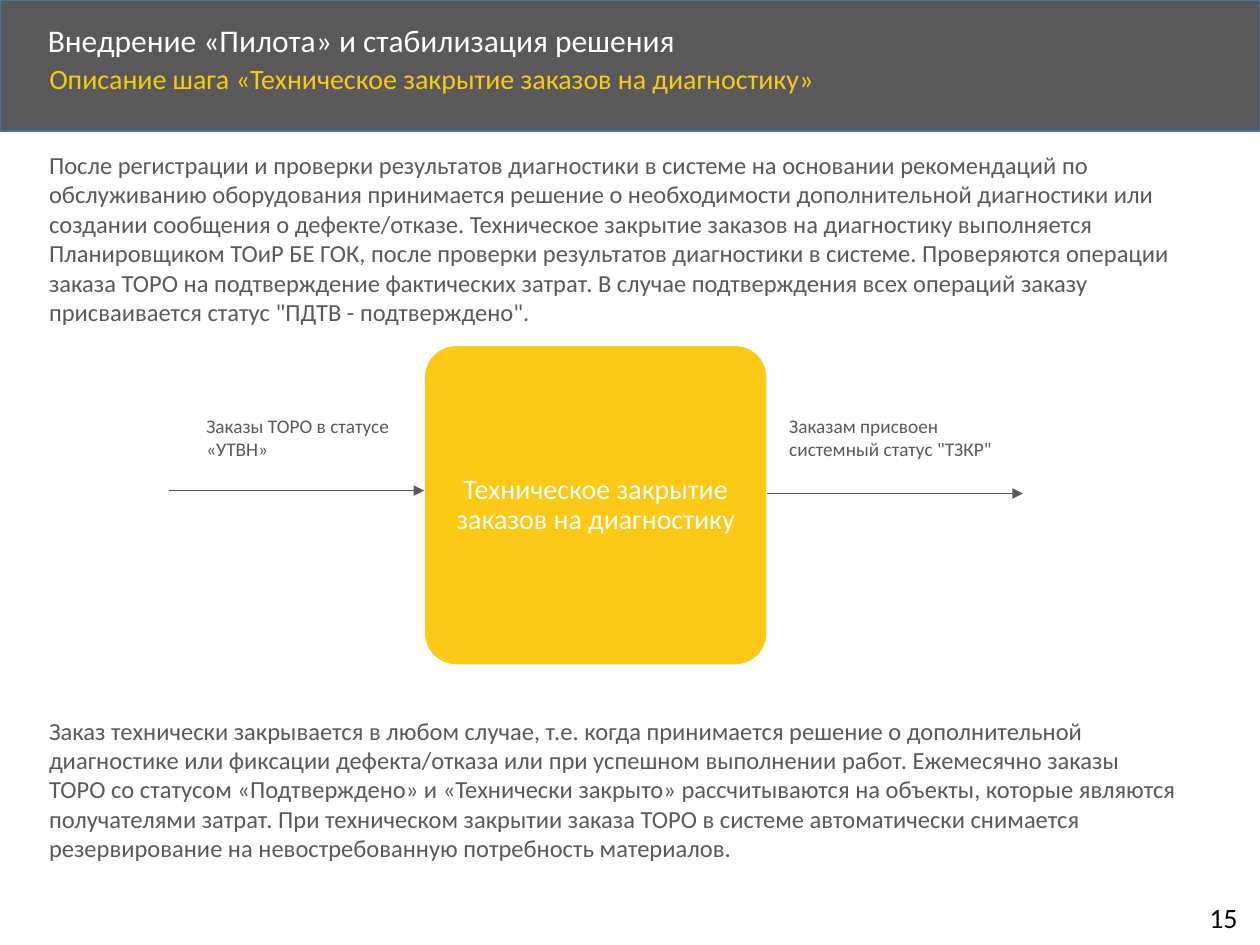
from lxml import etree
from pptx import Presentation
from pptx.dml.color import RGBColor
from pptx.enum.shapes import MSO_CONNECTOR, MSO_SHAPE
from pptx.enum.text import MSO_ANCHOR, MSO_AUTO_SIZE, PP_ALIGN
from pptx.oxml.ns import qn
from pptx.util import Cm, Pt

STRAIGHT = MSO_CONNECTOR.STRAIGHT
RECTANGLE = MSO_SHAPE.RECTANGLE
ROUNDED = MSO_SHAPE.ROUNDED_RECTANGLE
TOP, MIDDLE = MSO_ANCHOR.TOP, MSO_ANCHOR.MIDDLE
LEFT, CENTER = PP_ALIGN.LEFT, PP_ALIGN.CENTER
NO_FIT = MSO_AUTO_SIZE.NONE

GRAY = RGBColor(0x59, 0x59, 0x59)
BLUE = RGBColor(0x43, 0x73, 0x9E)
YELLOW = RGBColor(0xFC, 0xC9, 0x17)
DARK_YELLOW = RGBColor(0xF6, 0xCC, 0x0C)
WHITE = RGBColor(0xFF, 0xFF, 0xFF)
BLACK = RGBColor(0, 0, 0)

TITLE = "Внедрение «Пилота» и стабилизация решения"
SUBTITLE = [
    ("Описание шага ", DARK_YELLOW),
    ("«Техническое закрытие заказов на диагностику»", YELLOW),
]
INTRODUCTION = (
    "После регистрации и проверки результатов диагностики в системе на основании "
    "рекомендаций по обслуживанию оборудования принимается решение о необходимости "
    "дополнительной диагностики или создании сообщения о дефекте/отказе. Техническое "
    "закрытие заказов на диагностику выполняется Планировщиком ТОиР БЕ ГОК, после "
    "проверки результатов диагностики в системе. Проверяются операции заказа ТОРО на "
    "подтверждение фактических затрат. В случае подтверждения всех операций заказу "
    "присваивается статус \"ПДТВ - подтверждено\"."
)
CONCLUSION = (
    "Заказ технически закрывается в любом случае, т.е. когда принимается решение о "
    "дополнительной диагностике или фиксации дефекта/отказа или при успешном выполнении "
    "работ. Ежемесячно заказы ТОРО со статусом «Подтверждено» и «Технически закрыто» "
    "рассчитываются на объекты, которые являются получателями затрат. При техническом "
    "закрытии заказа ТОРО в системе автоматически снимается резервирование на "
    "невостребованную потребность материалов."
)
STEP = "Техническое закрытие заказов на диагностику"
INPUT = "Заказы ТОРО в статусе «УТВН»"
OUTPUT = "Заказам присвоен системный статус \"ТЗКР\""


def set_attributes(target, values):
    """Set every named value on the target."""
    for name, value in values.items():
        setattr(target, name, value)


def place(shape, left, top, width, height):
    """Move and size a shape, in centimetres."""
    set_attributes(shape, {"left": Cm(left), "top": Cm(top),
                           "width": Cm(width), "height": Cm(height)})


def write(shape, runs, size, anchor=TOP, wrap=True, **paragraph_format):
    """Write coloured runs as the only paragraph of a shape."""
    frame = shape.text_frame
    set_attributes(frame, {"word_wrap": wrap, "auto_size": NO_FIT,
                           "vertical_anchor": anchor})
    paragraph = frame.paragraphs[0]
    set_attributes(paragraph, {"alignment": LEFT, "space_before": Pt(0),
                               **paragraph_format})
    for text, color in runs:
        run = paragraph.add_run()
        run.text = text
        set_attributes(run.font, {"name": "Calibri", "size": Pt(size)})
        run.font.color.rgb = color


def add_text(slide, box, text, size, color=GRAY, **options):
    """Add a text box with one paragraph."""
    shape = slide.shapes.add_textbox(*map(Cm, box))
    write(shape, [(text, color)], size, **options)


def add_panel(slide, kind, box, fill, line):
    """Add a filled preset shape without a shadow."""
    shape = slide.shapes.add_shape(kind, *map(Cm, box))
    shape.shadow.inherit = False
    shape.fill.solid()
    shape.fill.fore_color.rgb = fill
    shape.line.color.rgb = line
    shape.line.width = Pt(1)
    return shape


def add_arrow(slide, left, top, length):
    """Add a thin horizontal arrow pointing right."""
    arrow = slide.shapes.add_connector(STRAIGHT, Cm(left), Cm(top),
                                       Cm(left + length), Cm(top))
    arrow.line.color.rgb = GRAY
    arrow.line.width = Pt(0.5)
    etree.SubElement(arrow.line._get_or_add_ln(), qn("a:tailEnd"), type="triangle")
    etree.SubElement(arrow._element.spPr, qn("a:effectLst"))


def build_header(slide, box):
    """Build the dark band with the title and the subtitle."""
    left, top, width, height = box
    band = add_panel(slide, RECTANGLE, box, GRAY, BLUE)
    slide.shapes._spTree.insert(2, band._element)
    title, subtitle = slide.placeholders
    place(title, left + 0.71, top + 0.36, width - 4.9, 0.97)
    write(title, [(TITLE, WHITE)], 18, anchor=MIDDLE, line_spacing=0.9)
    place(subtitle, left + 0.74, top + 1.19, width - 3.38, 1.14)
    properties = subtitle.text_frame.paragraphs[0]._p.get_or_add_pPr()
    properties.set("marL", "0")
    properties.set("indent", "0")
    etree.SubElement(properties, qn("a:buNone"))
    write(subtitle, SUBTITLE, 16, line_spacing=0.9)


def build_diagram(slide, box):
    """Build the step with its incoming and outgoing arrows and labels."""
    left, top, width, height = box
    arrow_length = 5.15
    step_left = left + arrow_length
    step_width = width - 2 * arrow_length
    step_right = step_left + step_width
    step = add_panel(slide, ROUNDED, (step_left, top, step_width, height), YELLOW, WHITE)
    step.adjustments[0] = 0.1
    margins = ("margin_left", "margin_top", "margin_right", "margin_bottom")
    set_attributes(step.text_frame, dict.fromkeys(margins, 0))
    write(step, [(STEP, WHITE)], 16, anchor=MIDDLE, alignment=CENTER, line_spacing=0.9)
    flows = [(left, 2.93, 0.51, INPUT), (step_right, 2.99, 0.19, OUTPUT)]
    for arrow_left, arrow_top, indent, label in flows:
        add_arrow(slide, arrow_left, top + arrow_top, arrow_length)
        add_text(slide, (arrow_left + indent, top + 1.27, 5.08, 1.19), label, 11)


def main():
    """Build the slide and save the presentation."""
    presentation = Presentation()
    set_attributes(presentation, {"slide_width": Cm(25.4), "slide_height": Cm(19.05)})
    slide = presentation.slides.add_slide(presentation.slide_layouts[1])
    build_header(slide, (0, 0, 25.4, 2.64))
    add_text(slide, (0.74, 2.9, 24.03, 3.84), INTRODUCTION, 14)
    build_diagram(slide, (3.4, 6.96, 17.22, 6.45))
    add_text(slide, (0.74, 14.3, 23.34, 3.25), CONCLUSION, 14)
    add_text(slide, (24.13, 18.03, 1.17, 0.94), "15", 16, color=BLACK, wrap=False)
    presentation.save("out.pptx")


if __name__ == "__main__":
    main()
